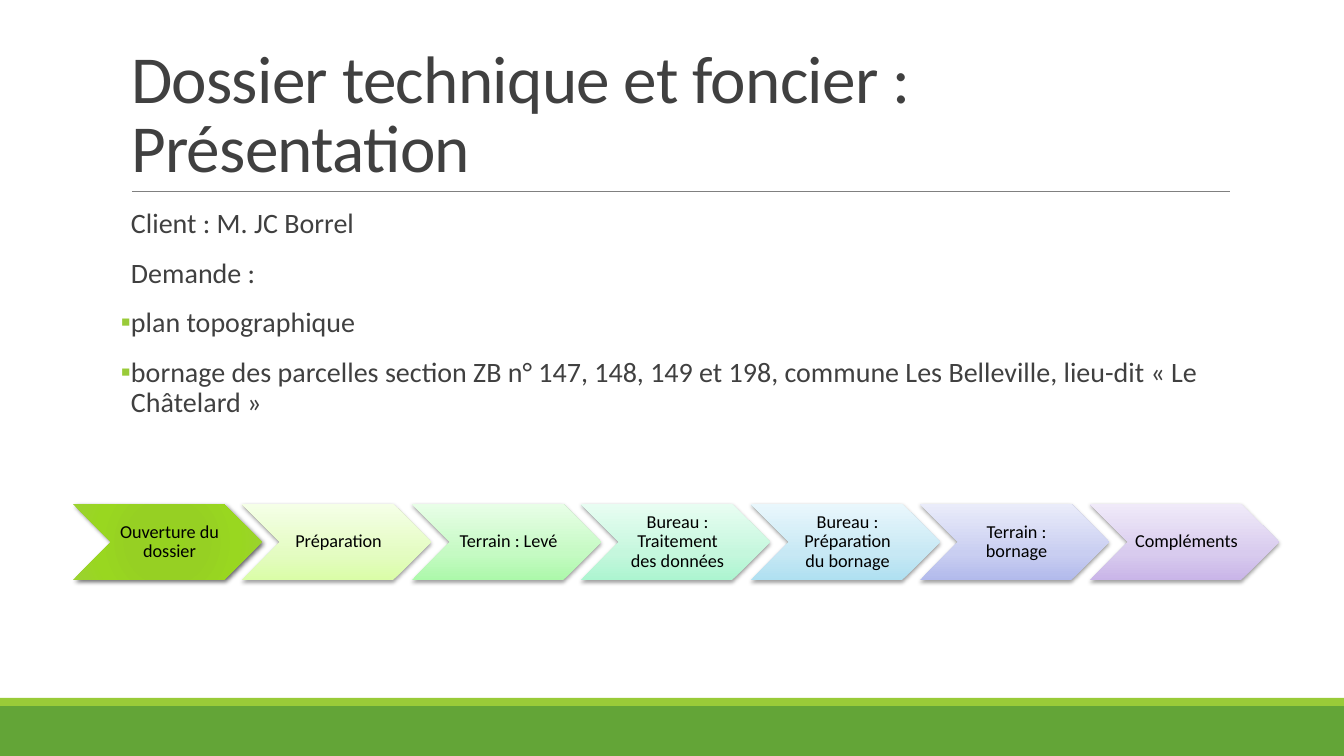
from lxml import etree
from pptx import Presentation, util as u
from pptx.dml.color import RGBColor
from pptx.enum import shapes, text
from pptx.oxml import ns

SCALE = 914400 / 100.8
FONT = "Calibri"
COLORS = {
    "green": "63A537",
    "lime": "99CB38",
    "rule": "808080",
    "body": "404040",
    "black": "000000",
}
CURRENT_STOPS = [(0, "95D220"), (34, "96D023"), (70, "99D720"), (100, "9BD231")]
STEPS = [
    ("Ouverture du dossier", CURRENT_STOPS),
    ("Préparation", [(0, "DAFDA7"), (35, "E4FCC2"), (100, "F5FFE7")]),
    ("Terrain : Levé", [(0, "ACF9AA"), (35, "C5FAC3"), (100, "E8FEE7")]),
    ("Bureau : Traitement des données", [(0, "ACF5D0"), (35, "C5F7DD"), (100, "E8FDF2")]),
    ("Bureau : Préparation du bornage", [(0, "AFE0F1"), (35, "C7E8F4"), (100, "E9F7FC")]),
    ("Terrain : bornage", [(0, "B2BAEC"), (35, "C9CEF1"), (100, "EAECFA")]),
    ("Compléments", [(0, "C9B5E8"), (35, "D8CBEE"), (100, "F0EAF9")]),
]
REQUEST = [
    ("Client : M. JC Borrel", False),
    ("Demande :", False),
    ("plan topographique", True),
    ("bornage des parcelles section ZB n° 147, 148, 149 et 198, commune Les Belleville, "
     "lieu-dit « Le Châtelard »", True),
]


def px(length):
    return u.Emu(round(length * SCALE))


def box(*lengths):
    return [px(length) for length in lengths]


def rgb(name):
    return RGBColor.from_string(COLORS[name])


def child(parent, tag, **attributes):
    node = etree.SubElement(parent, ns.qn(tag))
    for key, value in attributes.items():
        node.set(key, str(value))
    return node


def set_insets(frame, left, top, right, bottom):
    frame.margin_left, frame.margin_top, frame.margin_right, frame.margin_bottom = box(
        left, top, right, bottom)


def set_font(paragraph, size, color):
    paragraph.font.name = FONT
    paragraph.font.size = u.Pt(size)
    paragraph.font.color.rgb = rgb(color)


def add_band(slide, top, height, color):
    band = slide.shapes.add_shape(shapes.MSO_SHAPE.RECTANGLE, *box(0, top, 1344, height))
    band.shadow.inherit = False
    band.fill.solid()
    band.fill.fore_color.rgb = rgb(color)
    band.line.fill.background()


def add_rule(slide, left, right, y):
    rule = slide.shapes.add_connector(shapes.MSO_CONNECTOR.STRAIGHT, *box(left, y, right, y))
    rule.line.color.rgb = rgb("rule")
    rule.line.width = u.Pt(0.5)
    child(rule._element.spPr, "a:effectLst")


def set_title(slide, wording):
    title = slide.shapes.title
    title.left, title.top, title.width, title.height = box(121, 31, 1109, 160)
    frame = title.text_frame
    frame.text = wording
    frame.word_wrap = True
    frame.auto_size = text.MSO_AUTO_SIZE.NONE
    frame.vertical_anchor = text.MSO_ANCHOR.BOTTOM
    paragraph = frame.paragraphs[0]
    paragraph.alignment = text.PP_ALIGN.LEFT
    paragraph.line_spacing = 0.85
    set_font(paragraph, 48, "body")
    paragraph.runs[0]._r.get_or_add_rPr().set("spc", "-50")


def add_request(slide):
    frame = slide.shapes.add_textbox(*box(121, 204, 1109, 443)).text_frame
    frame.word_wrap = True
    set_insets(frame, 0, 5, 0, 5)
    for index, (wording, bulleted) in enumerate(REQUEST):
        paragraph = frame.paragraphs[0] if index == 0 else frame.add_paragraph()
        paragraph.text = wording
        paragraph.line_spacing = 0.9
        paragraph.space_before = u.Pt(12 if index else 0)
        paragraph.space_after = u.Pt(2)
        properties = paragraph._p.get_or_add_pPr()
        properties.set("marL", str(px(10)))
        properties.set("indent", str(px(-10) if bulleted else 0))
        if bulleted:
            child(child(properties, "a:buClr"), "a:srgbClr", val=COLORS["lime"])
            child(properties, "a:buFont", typeface=FONT)
            child(properties, "a:buChar", char="▪")
        else:
            child(properties, "a:buNone")
        set_font(paragraph, 20, "body")


def set_gradient(shape, stops, radial):
    shape.fill.gradient()
    shape.fill.gradient_angle = 90
    gradient = shape._element.spPr.find(ns.qn("a:gradFill"))
    stop_list = gradient.find(ns.qn("a:gsLst"))
    for stop in list(stop_list):
        stop_list.remove(stop)
    for position, color in stops:
        child(child(stop_list, "a:gs", pos=position * 1000), "a:srgbClr", val=color)
    if radial:
        gradient.remove(gradient.find(ns.qn("a:lin")))
        circle = child(gradient, "a:path", path="circle")
        child(circle, "a:fillToRect", l=100000, t=100000, r=100000, b=100000)


def set_shadow(shape, opacity, blur, distance, angle):
    shape.shadow.inherit = False
    effects = shape._element.spPr.find(ns.qn("a:effectLst"))
    shadow = child(effects, "a:outerShdw", blurRad=u.Pt(blur), dist=u.Pt(distance),
                   dir=angle * 60000, algn="ctr", rotWithShape=0)
    color = child(shadow, "a:srgbClr", val=COLORS["black"])
    child(color, "a:alpha", val=opacity * 1000)


def add_step(slide, left, wording, stops, current):
    step = slide.shapes.add_shape(shapes.MSO_SHAPE.CHEVRON, *box(left, 504, 189, 76))
    set_gradient(step, stops, radial=current)
    step.line.fill.background()
    if current:
        set_shadow(step, 60, 3.5, 2, 45)
    else:
        set_shadow(step, 38, 3.1, 1.6, 90)
    frame = step.text_frame
    frame.text = wording
    frame.word_wrap = True
    frame.vertical_anchor = text.MSO_ANCHOR.MIDDLE
    set_insets(frame, 6, 2, 2, 2)
    paragraph = frame.paragraphs[0]
    paragraph.alignment = text.PP_ALIGN.CENTER
    paragraph.line_spacing = 0.9
    set_font(paragraph, 13, "black")


def main():
    deck = Presentation()
    deck.slide_width, deck.slide_height = box(1344, 756)
    slide = deck.slides.add_slide(deck.slide_layouts[5])
    add_band(slide, 706, 50, "green")
    add_band(slide, 698, 8, "lime")
    add_rule(slide, 132, 1230, 191)
    set_title(slide, "Dossier technique et foncier : Présentation")
    add_request(slide)
    for index, (wording, stops) in enumerate(STEPS):
        add_step(slide, 73 + index * 339 // 2, wording, stops, current=index == 0)
    deck.save("out.pptx")


if __name__ == "__main__":
    main()
